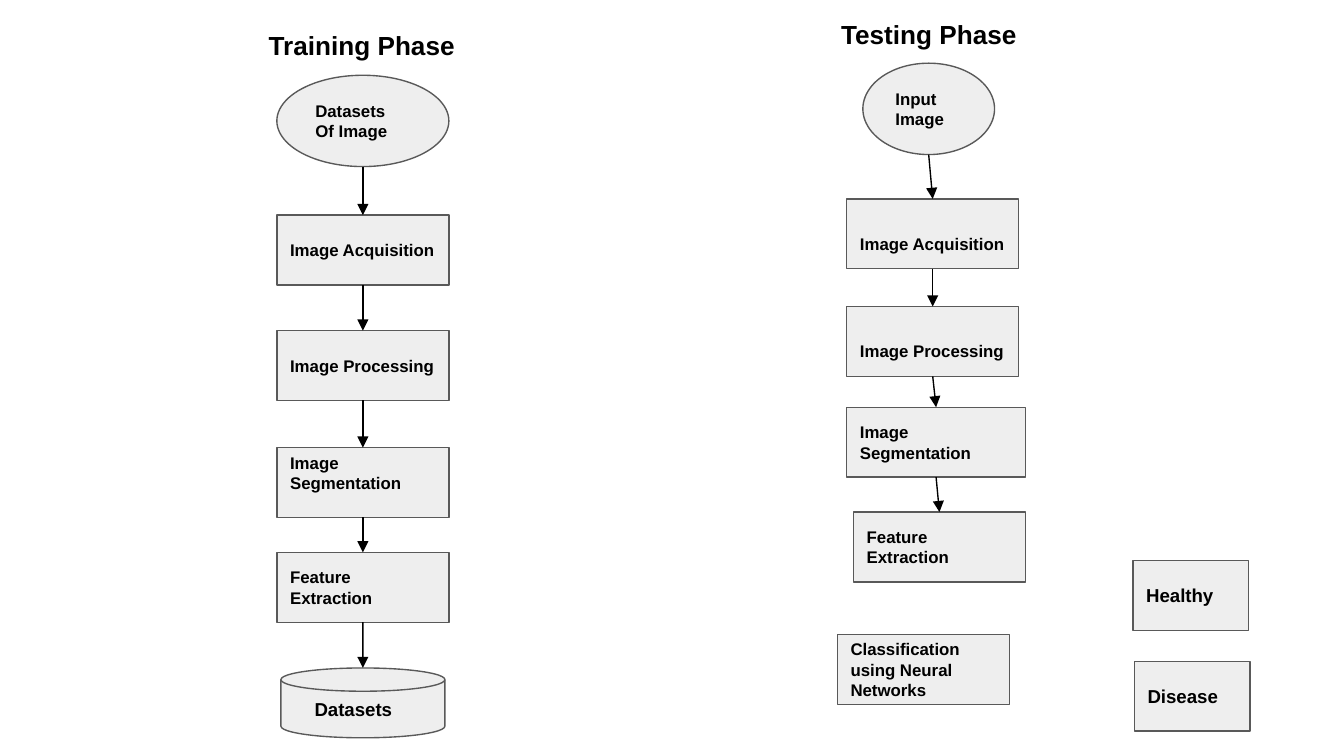
from dataclasses import dataclass
from itertools import pairwise

from lxml import etree
from pptx import Presentation
from pptx.dml.color import RGBColor
from pptx.enum.shapes import MSO_CONNECTOR, MSO_SHAPE
from pptx.enum.text import MSO_ANCHOR, PP_ALIGN
from pptx.oxml.ns import qn
from pptx.util import Inches, Pt

OVAL = MSO_SHAPE.OVAL
RECT = MSO_SHAPE.FLOWCHART_PROCESS
DISK = MSO_SHAPE.FLOWCHART_MAGNETIC_DISK
LINE = MSO_CONNECTOR.STRAIGHT
LEFT = PP_ALIGN.LEFT
TOP = MSO_ANCHOR.TOP
MIDDLE = MSO_ANCHOR.MIDDLE

BLACK = RGBColor(0x00, 0x00, 0x00)
GREY = RGBColor(0x59, 0x59, 0x59)
PALE = RGBColor(0xEE, 0xEE, 0xEE)
WHITE = RGBColor(0xFF, 0xFF, 0xFF)
FONT = "Arial"
WIDTH = 10
HEIGHT = WIDTH * 9 / 16
PAD = 0.1
STROKE = Pt(0.75)


@dataclass(frozen=True)
class Node:
    text: str
    x: float
    y: float
    w: float = 1.28
    h: float = 0.52
    kind: int = RECT
    size: int = 9
    drop: float = 0
    indent: float = PAD


@dataclass(frozen=True)
class Title:
    text: str
    x: float
    y: float
    w: float
    h: float = 0.43


TRAIN = [
    Node("Datasets\nOf Image", 2.06, 0.56, h=0.68, kind=OVAL),
    Node("Image Acquisition", 2.06, 1.6),
    Node("Image Processing", 2.06, 2.46),
    Node("Image Segmentation", 2.06, 3.33, drop=-0.07),
    Node("Feature Extraction", 2.06, 4.11),
    Node("Datasets", 2.09, 4.97, w=1.22, kind=DISK, size=10, indent=0.25),
]
TEST = [
    Node("Input Image", 6.42, 0.47, w=0.98, h=0.68, kind=OVAL),
    Node("Image Acquisition", 6.3, 1.48, drop=0.07),
    Node("Image Processing", 6.3, 2.28, drop=0.07),
    Node("Image Segmentation", 6.3, 3.03, w=1.33),
    Node("Feature Extraction", 6.35, 3.81),
]
RESULTS = [
    Node("Classification using Neural Networks", 6.23, 4.72),
    Node("Healthy", 8.43, 4.17, w=0.86, size=10),
    Node("Disease", 8.44, 4.92, w=0.86, size=10),
]
TITLES = [
    Title("Training Phase", 1.9, 0.12, 1.71),
    Title("Testing Phase", 6.16, 0.04, 1.56),
]


def write(frame, text: str, size: int, anchor, indent: float = PAD,
          drop: float = 0) -> None:
    frame.word_wrap = True
    frame.vertical_anchor = anchor
    frame.margin_left = Inches(indent)
    frame.margin_right = Inches(PAD)
    frame.margin_top = Inches(PAD + drop)
    frame.margin_bottom = Inches(PAD - drop)
    for i, line in enumerate(text.split("\n")):
        para = frame.add_paragraph() if i else frame.paragraphs[0]
        para.alignment = LEFT
        run = para.add_run()
        run.text = line
        run.font.name = FONT
        run.font.size = Pt(size)
        run.font.bold = True
        run.font.color.rgb = BLACK


def draw_node(slide, node: Node) -> None:
    shape = slide.shapes.add_shape(
        node.kind, Inches(node.x), Inches(node.y), Inches(node.w), Inches(node.h))
    shape.shadow.inherit = False
    shape.fill.solid()
    shape.fill.fore_color.rgb = PALE
    shape.line.color.rgb = GREY
    shape.line.width = STROKE
    write(shape.text_frame, node.text, node.size, MIDDLE, node.indent, node.drop)


def draw_title(slide, title: Title) -> None:
    box = slide.shapes.add_textbox(
        Inches(title.x), Inches(title.y), Inches(title.w), Inches(title.h))
    write(box.text_frame, title.text, 14, TOP)


def draw_arrow(slide, start: Node, end: Node) -> None:
    arrow = slide.shapes.add_connector(
        LINE,
        Inches(start.x + start.w / 2), Inches(start.y + start.h),
        Inches(end.x + end.w / 2), Inches(end.y))
    arrow.line.color.rgb = BLACK
    arrow.line.width = STROKE
    props = arrow._element.spPr
    tail = etree.SubElement(props.find(qn("a:ln")), qn("a:tailEnd"))
    tail.set("type", "triangle")
    etree.SubElement(props, qn("a:effectLst"))


def main() -> None:
    deck = Presentation()
    deck.slide_width = Inches(WIDTH)
    deck.slide_height = Inches(HEIGHT)
    slide = deck.slides.add_slide(deck.slide_layouts[6])
    slide.background.fill.solid()
    slide.background.fill.fore_color.rgb = WHITE
    for node in TRAIN + TEST + RESULTS:
        draw_node(slide, node)
    for title in TITLES:
        draw_title(slide, title)
    for chain in (TRAIN, TEST):
        for start, end in pairwise(chain):
            draw_arrow(slide, start, end)
    deck.save("out.pptx")


if __name__ == "__main__":
    main()
